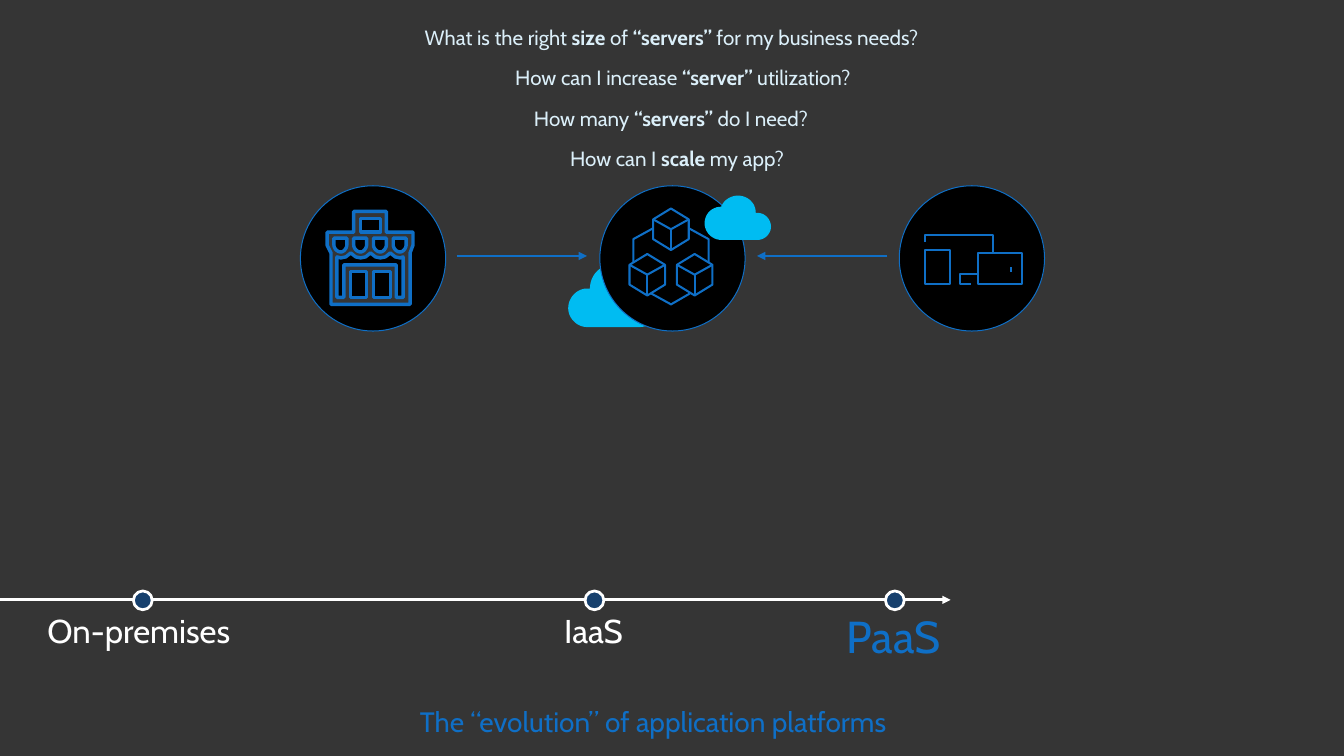
from dataclasses import dataclass

from lxml import etree
from pptx import Presentation
from pptx.dml.color import RGBColor
from pptx.enum import shapes, text
from pptx.oxml import ns
from pptx.util import Inches, Pt


@dataclass(frozen=True)
class Theme:
    font: str = "Cabin"
    background: str = "353535"
    white: str = "FFFFFF"
    blue: str = "0F6FC6"
    navy: str = "17406D"
    cyan: str = "00BCF2"
    pale: str = "DBEFF9"
    black: str = "000000"
    question: float = 15
    stage: float = 24
    current_stage: float = 32.6
    caption: float = 20.4


THEME = Theme()
QUESTIONS = [
    ((4.68, 1.02, 4.22, 0.36), "How many *“servers” *do I need?"),
    ((4.67, 0.61, 4.48, 0.36), "How can I increase* “server”* utilization?"),
    ((3.68, 0.2, 6.23, 0.36),
     "What is the right *size* of *“servers”* for my business needs?"),
    ((5.54, 1.43, 2.62, 0.36), "How can I *scale* my app?"),
]
STAGES = [
    ((8.37, 6.06, 1.39, 0.83), "PaaS", THEME.current_stage, THEME.blue),
    ((5.51, 6.06, 1.03, 0.69), "IaaS", THEME.stage, THEME.white),
    ((0.28, 6.06, 2.34, 0.69), "On-premises", THEME.stage, THEME.white),
]
CLOUD_START = (0.22, 0.25)
CLOUD_CURVES = [
    ((0.22, 0.11), (0.33, 0), (0.48, 0)),
    ((0.58, 0), (0.68, 0.06), (0.72, 0.16)),
    ((0.85, 0.16), (0.96, 0.26), (0.96, 0.4)),
    ((0.96, 0.53), (0.85, 0.64), (0.72, 0.64)),
    ((0.54, 0.64), (0.37, 0.64), (0.19, 0.64)),
    ((0.09, 0.64), (0, 0.55), (0, 0.45)),
    ((0, 0.34), (0.09, 0.25), (0.19, 0.25)),
]


def rgb(color):
    return RGBColor.from_string(color)


def paint(sp, fill=None, line=None, width=1.5):
    sp.shadow.inherit = False
    if fill:
        sp.fill.solid()
        sp.fill.fore_color.rgb = rgb(fill)
    else:
        sp.fill.background()
    if line:
        sp.line.color.rgb = rgb(line)
        sp.line.width = Pt(width)
    else:
        sp.line.fill.background()


def add_text(tree, box, content, size, color, align=text.PP_ALIGN.LEFT,
             anchor=text.MSO_ANCHOR.TOP, insets=(0.1, 0.05), wrap=True,
             grow=True, line_spacing=None, space_after=None):
    tf = tree.add_textbox(*map(Inches, box)).text_frame
    tf.word_wrap = wrap
    tf.auto_size = (text.MSO_AUTO_SIZE.SHAPE_TO_FIT_TEXT if grow
                    else text.MSO_AUTO_SIZE.NONE)
    tf.vertical_anchor = anchor
    tf.margin_left = tf.margin_right = Inches(insets[0])
    tf.margin_top = tf.margin_bottom = Inches(insets[1])
    p = tf.paragraphs[0]
    p.alignment = align
    if line_spacing:
        p.line_spacing = line_spacing
    if space_after:
        p.space_after = Pt(space_after)
    for i, part in enumerate(content.split("*")):
        r = p.add_run()
        r.text = part
        r.font.name = THEME.font
        r.font.size = Pt(size)
        r.font.bold = i % 2 == 1
        r.font.color.rgb = rgb(color)


def add_line(tree, start, end, color=THEME.blue, width=2, arrow=False):
    line = tree.add_connector(shapes.MSO_CONNECTOR.STRAIGHT,
                              *map(Inches, start + end))
    line.line.color.rgb = rgb(color)
    line.line.width = Pt(width)
    if arrow:
        etree.SubElement(line.line._get_or_add_ln(), ns.qn("a:tailEnd"),
                         type="triangle")
    etree.SubElement(line._element.spPr, ns.qn("a:effectLst"))


def add_preset(tree, kind, box, **style):
    paint(tree.add_shape(kind, *map(Inches, box)), **style)


def add_outline(tree, contours, closed=True, **style):
    builder = None
    for contour in contours:
        points = [(Inches(x), Inches(y)) for x, y in contour]
        if builder is None:
            builder = tree.build_freeform(*points[0])
        else:
            builder.move_to(*points[0])
        builder.add_line_segments(points[1:], close=closed)
    paint(builder.convert_to_shape(), **style)


def add_path(tree, *points):
    add_outline(tree, [points], closed=False, line=THEME.blue)


def curve(start, c1, c2, end, steps=12):
    for i in range(1, steps + 1):
        t = i / steps
        weights = ((1 - t) ** 3, 3 * t * (1 - t) ** 2,
                   3 * t ** 2 * (1 - t), t ** 3)
        yield tuple(sum(w * pt[axis] for w, pt in
                        zip(weights, (start, c1, c2, end))) for axis in (0, 1))


def add_cloud(tree, left, top, scale=1, mirrored=False):
    points = [CLOUD_START]
    for segment in CLOUD_CURVES:
        points.extend(curve(points[-1], *segment))
    contour = [(left + scale * (0.96 - x if mirrored else x), top + scale * y)
               for x, y in points]
    add_outline(tree, [contour], fill=THEME.cyan)


def add_badge(tree, left):
    group = tree.add_group_shape().shapes
    add_preset(group, shapes.MSO_SHAPE.OVAL, (left, 1.88, 1.47, 1.47),
               fill=THEME.black, line=THEME.blue, width=0.75)
    return group


def add_cube(tree, x, y):
    mid, right = x + 0.18, x + 0.36
    add_outline(tree, [[(x, y + 0.11), (mid, y), (right, y + 0.11),
                        (right, y + 0.31), (mid, y + 0.42), (x, y + 0.31)]],
                line=THEME.blue)
    add_path(tree, (right, y + 0.11), (mid, y + 0.21), (x, y + 0.11))
    add_line(tree, (mid, y + 0.21), (mid, y + 0.42), width=1.5)


def add_cubes(tree):
    for x, y in [(6.85, 2.57), (6.37, 2.57), (6.61, 2.11)]:
        add_cube(tree, x, y)
    add_path(tree, (6.98, 2.97), (6.79, 3.08), (6.59, 2.97))
    add_path(tree, (6.97, 2.31), (7.17, 2.42), (7.17, 2.65))
    add_path(tree, (6.41, 2.65), (6.41, 2.42), (6.61, 2.31))


def rectangle(left, top, right, bottom):
    return [(left, top), (right, top), (right, bottom), (left, bottom)]


def scallop(left):
    right, mid = left + 0.13, left + 0.07
    return [(left, 2.41), (right, 2.41), (right, 2.48),
            *curve((right, 2.48), (right, 2.51), (mid + 0.03, 2.55), (mid, 2.55)),
            *curve((mid, 2.55), (mid - 0.04, 2.55), (left, 2.51), (left, 2.48))]


def add_store(tree):
    walls = [(3.35, 3.08), (4.15, 3.08), (4.15, 2.56), (4.18, 2.48),
             (4.18, 2.35), (3.91, 2.35), (3.91, 2.14), (3.58, 2.14),
             (3.58, 2.35), (3.31, 2.35), (3.31, 2.48), (3.35, 2.56)]
    front = [(4.01, 3.01), (4.01, 2.68), (3.48, 2.68), (3.48, 3.01),
             (3.41, 3.01), (3.41, 2.6), (3.45, 2.61)]
    for cusp in (3.55, 3.75, 3.95):
        front += [(cusp - 0.05, 2.6), (cusp, 2.56), (cusp + 0.05, 2.6),
                  (cusp + 0.1, 2.61)]
    front += [(4.08, 2.6), (4.08, 3.01)]
    contours = [walls, rectangle(3.55, 2.75, 3.71, 3.01),
                rectangle(3.78, 2.75, 3.95, 3.01), front,
                rectangle(3.65, 2.21, 3.85, 2.35)]
    contours += [scallop(3.38 + 0.2 * i) for i in range(4)]
    add_outline(tree, contours, fill=THEME.background, line=THEME.blue, width=2.5)


def add_devices(tree):
    for box in [(9.36, 2.53, 0.25, 0.34), (9.9, 2.56, 0.44, 0.31)]:
        add_preset(tree, shapes.MSO_SHAPE.RECTANGLE, box, line=THEME.blue)
    add_line(tree, (10.23, 2.75), (10.23, 2.7))
    add_path(tree, (9.9, 2.77), (9.71, 2.77), (9.71, 2.87), (9.83, 2.87))
    add_path(tree, (9.36, 2.45), (9.36, 2.38), (10.05, 2.38), (10.05, 2.56))


def add_timeline(tree):
    add_line(tree, (-0.01, 6.07), (6.61, 6.07), THEME.white)
    for box, label, size, color in STAGES:
        add_text(tree, box, label, size, color, insets=(0.2, 0.16), wrap=False,
                 line_spacing=0.9, space_after=6)
    add_line(tree, (-0.01, 6.07), (9.62, 6.07), THEME.white, arrow=True)
    for left in (1.35, 5.92, 8.96):
        add_preset(tree, shapes.MSO_SHAPE.OVAL, (left, 5.98, 0.19, 0.19),
                   fill=THEME.navy, line=THEME.white, width=2)


def main():
    prs = Presentation()
    prs.slide_width, prs.slide_height = Inches(13.6), Inches(7.65)
    s = prs.slides.add_slide(prs.slide_layouts[6])
    s.background.fill.solid()
    s.background.fill.fore_color.rgb = rgb(THEME.background)
    tree = s.shapes
    add_timeline(tree)
    add_cloud(tree, 5.75, 2.67)
    add_cubes(add_badge(tree, 6.07))
    add_store(add_badge(tree, 3.04))
    add_devices(add_badge(tree, 9.1))
    add_line(tree, (4.62, 2.59), (5.94, 2.59), arrow=True)
    add_line(tree, (8.98, 2.59), (7.66, 2.59), arrow=True)
    add_cloud(tree, 7.13, 1.98, scale=0.7, mirrored=True)
    for box, question in QUESTIONS:
        add_text(tree, box, question, THEME.question, THEME.pale,
                 align=text.PP_ALIGN.CENTER)
    add_text(tree, (4.15, 7.21, 5.85, 0.18),
             "The “evolution” of application platforms", THEME.caption,
             THEME.blue, anchor=text.MSO_ANCHOR.MIDDLE, grow=False)
    prs.save("out.pptx")


if __name__ == "__main__":
    main()
